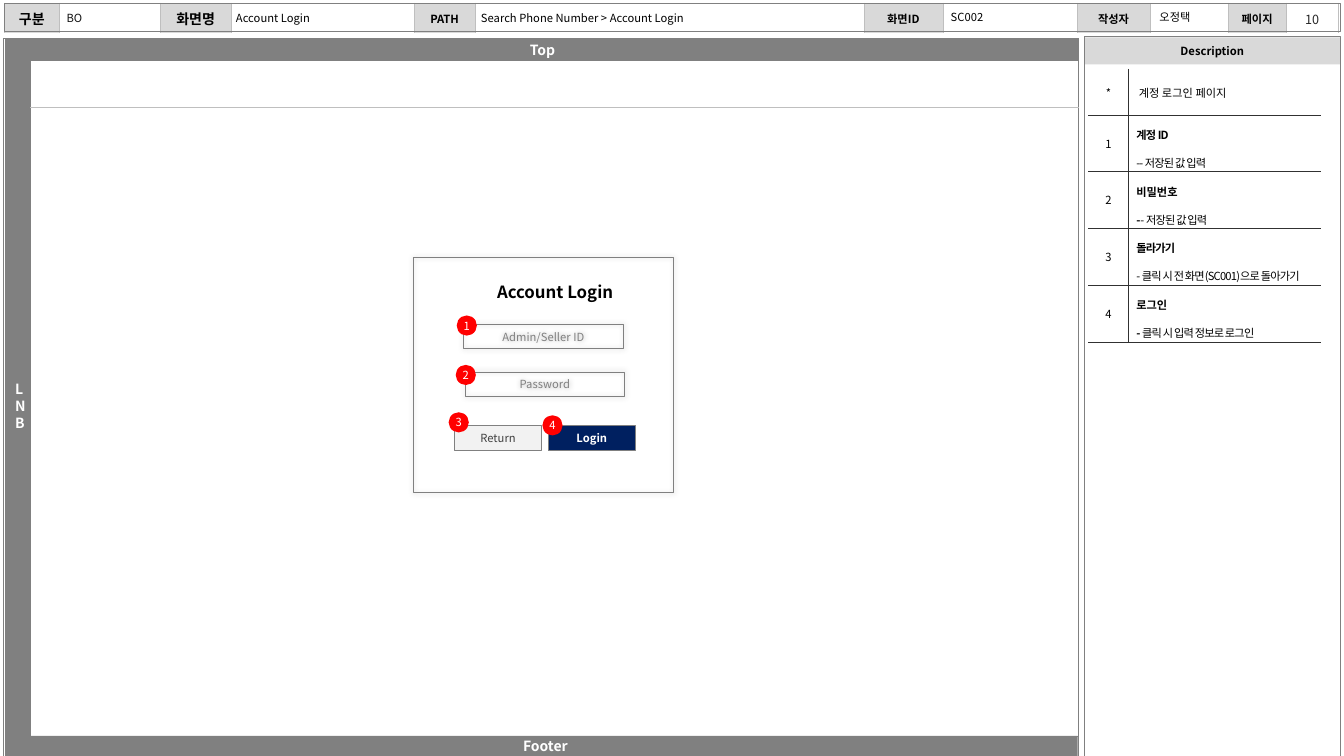
from dataclasses import dataclass
from lxml import etree
from pptx import Presentation
from pptx.dml.color import RGBColor
from pptx.enum.shapes import MSO_CONNECTOR, MSO_SHAPE
from pptx.enum.text import MSO_ANCHOR, PP_ALIGN
from pptx.oxml.ns import qn
from pptx.util import Inches, Pt

RECT, OVAL = MSO_SHAPE.RECTANGLE, MSO_SHAPE.OVAL
LEFT, CENTER = PP_ALIGN.LEFT, PP_ALIGN.CENTER
TOP, MIDDLE = MSO_ANCHOR.TOP, MSO_ANCHOR.MIDDLE
STRAIGHT = MSO_CONNECTOR.STRAIGHT


@dataclass(frozen=True)
class Theme:
    font: str = "Noto Sans CJK KR"
    black: str = "000000"
    ink: str = "111111"
    dark: str = "262626"
    rule: str = "313131"
    button_text: str = "404040"
    gray: str = "808080"
    border: str = "BFBFBF"
    label: str = "D9D9D9"
    pale: str = "F2F2F2"
    white: str = "FFFFFF"
    navy: str = "002060"
    red: str = "FF0000"
    small: int = 8
    page: int = 9
    bar: int = 10
    title: int = 12


T = Theme()

HEADER_LABELS = [("구분", T.bar), ("화면명", T.bar), ("PATH", T.small),
                 ("화면ID", T.small), ("작성자", T.small), ("페이지", T.small)]
HEADER_COLUMNS = [0.55, 1, 0.7, 1.82, 0.6, 3.86, 0.78, 1.33, 0.73, 0.77, 0.58, 0.51]
HEADER_VALUES = [
    ("Search Phone Number > Account Login", 4.72, 0.06, 3.85, T.black),
    ("Account Login", 2.29, 0.06, 1.81, T.black),
    ("BO", 0.61, 0.06, 0.95, T.ink),
    ("오정택", 11.45, 0.05, 0.73, T.black),
    ("SC002", 9.38, 0.05, 0.73, T.black),
]
BARS = [
    (" LNB", (0.05, 0.38, 0.25, 7.12), LEFT, 0.04),
    ("Footer", (0.13, 7.3, 10.56, 0.2), CENTER, 0.1),
    ("Top", (0.07, 0.38, 10.62, 0.22), CENTER, 0.1),
]
BUTTONS = [("Login", 5.44, T.navy, T.white, True),
           ("Return", 4.51, T.pale, T.button_text, False)]
FIELDS = [("Admin/Seller ID", (4.6, 3.22, 1.58, 0.24)),
          ("Password", (4.62, 3.69, 1.57, 0.24))]
LOGIN_PANEL = (4.1, 2.55, 2.58, 2.34)
MARKERS = [("1", 4.53, 3.13), ("2", 4.52, 3.62), ("3", 4.45, 4.09), ("4", 5.38, 4.12)]
TIGHT = -0.6
NOTES = [
    ("1", [("계정 ID", True, TIGHT)], [("-- 저장된 값 입력", False, TIGHT)]),
    ("2", [("비밀번호", True, 0)],
     [("-", True, TIGHT), ("- 저장된 값 입력", False, TIGHT)]),
    ("3", [("돌라가기", True, TIGHT)],
     [("- 클릭 시 전 화면(SC001)으로 돌아가기", False, TIGHT)]),
    ("4", [("로그인", True, 0)],
     [("- ", True, TIGHT), ("클릭 시 입력 정보로 로그인", False, TIGHT)]),
]

deck = Presentation()
deck.slide_width, deck.slide_height = Inches(13.33), Inches(7.5)
slide = deck.slides.add_slide(deck.slide_layouts[6])


def rgb(code):
    return RGBColor.from_string(code)


def style(run, size, color, bold=False, spacing=0):
    font = run.font
    font.name, font.size, font.bold = T.font, Pt(size), bold
    font.color.rgb = rgb(color)
    properties = run._r.get_or_add_rPr()
    etree.SubElement(properties, qn("a:ea")).set("typeface", T.font)
    if spacing:
        properties.set("spc", str(round(spacing * 100)))


def write(frame, text, size, color, bold=False, align=LEFT, anchor=MIDDLE,
          insets=(0.1, 0.05), wrap=True):
    frame.word_wrap, frame.vertical_anchor = wrap, anchor
    frame.margin_left = frame.margin_right = Inches(insets[0])
    frame.margin_top = frame.margin_bottom = Inches(insets[1])
    paragraph = frame.paragraphs[0]
    paragraph.text, paragraph.alignment = text, align
    style(paragraph.runs[0], size, color, bold)
    return paragraph


def draw(kind, box, fill=None, line=None, width=0.5, glow=False):
    shape = slide.shapes.add_shape(kind, *map(Inches, box))
    shape.shadow.inherit = False
    if fill:
        shape.fill.solid()
        shape.fill.fore_color.rgb = rgb(fill)
    else:
        shape.fill.background()
    if line:
        shape.line.color.rgb = rgb(line)
        shape.line.width = Pt(width)
    else:
        shape.line.fill.background()
    if glow:
        effects = shape._element.spPr.find(qn("a:effectLst"))
        shadow = etree.SubElement(effects, qn("a:outerShdw"), blurRad=str(Pt(4)),
                                  dist="0", algn="ctr", rotWithShape="0")
        tint = etree.SubElement(shadow, qn("a:srgbClr"), val=T.black)
        etree.SubElement(tint, qn("a:alpha"), val="30000")
    return shape


def label(text, box, size, color, **options):
    area = slide.shapes.add_textbox(*map(Inches, box))
    return write(area.text_frame, text, size, color, **options)


def grid(left, top, columns, rows):
    table = slide.shapes.add_table(len(rows), len(columns), Inches(left), Inches(top),
                                   Inches(sum(columns)), Inches(sum(rows))).table
    table.first_row = table.horz_banding = False
    for column, width in zip(table.columns, columns):
        column.width = Inches(width)
    for row, height in zip(table.rows, rows):
        row.height = Inches(height)
    return table


def dress(cell, fill, borders, insets):
    if fill:
        cell.fill.solid()
        cell.fill.fore_color.rgb = rgb(fill)
    else:
        cell.fill.background()
    cell.vertical_anchor = MIDDLE
    cell.margin_left = cell.margin_right = Inches(insets[0])
    cell.margin_top = cell.margin_bottom = Inches(insets[1])
    properties = cell._tc.get_or_add_tcPr()
    for index, (side, (color, width)) in enumerate(zip("LRTB", borders)):
        edge = etree.Element(qn("a:ln" + side), w=str(Pt(width)))
        paint = etree.SubElement(edge, qn("a:solidFill"))
        etree.SubElement(paint, qn("a:srgbClr"), val=color)
        properties.insert(index, edge)


def fill_paragraph(paragraph, runs, align=LEFT, after=None, spacing=None):
    paragraph.alignment = align
    if after:
        paragraph.space_after = Pt(after)
    if spacing:
        paragraph.line_spacing = spacing
    for text, bold, tracking in runs:
        run = paragraph.add_run()
        run.text = text
        style(run, T.small, T.black, bold, tracking)


draw(RECT, (0.03, 0.38, 10.67, 7.12), T.white, T.gray)
description = draw(RECT, (10.76, 0.37, 2.53, 0.27), T.label)
write(description.text_frame, "Description", T.small, T.black, True, CENTER, insets=(0, 0))

header = grid(0.04, 0.03, HEADER_COLUMNS, [0.28])
soft, blank = (T.border, 0.25), (T.white, 0.25)
for index, cell in enumerate(header.rows[0].cells):
    is_label = index % 2 == 0
    dress(cell, T.label if is_label else None, (soft, soft, blank, blank), (0.05, 0.05))
    paragraph = cell.text_frame.paragraphs[0]
    if is_label:
        text, size = HEADER_LABELS[index // 2]
        paragraph.text, paragraph.alignment = text, CENTER
        style(paragraph.runs[0], size, T.black, True)
    else:
        etree.SubElement(paragraph._p, qn("a:endParaRPr"), sz=str(T.small * 100))
draw(RECT, (0.04, 0.03, 13.25, 0.28), line=T.gray)
draw(RECT, (10.76, 0.36, 2.53, 7.14), line=T.gray)

for text, box, align, inset in BARS:
    bar = draw(RECT, box, T.gray, T.gray, 0.25)
    paragraph = write(bar.text_frame, text, T.bar, T.white, True, align, insets=(inset, 0.05))
    indent = paragraph._p.get_or_add_pPr()
    indent.set("marL", str(Inches(0.06)))
    indent.set("indent", str(-Inches(0.06)))

label("10", (12.78, 0.05, 0.47, 0.28), T.page, T.dark, align=CENTER)
for text, left, top, width, color in HEADER_VALUES:
    label(text, (left, top, width, 0.24), T.small, color, anchor=TOP, insets=(0.05, 0.05))
label("Account Login", (4.88, 2.75, 1.26, 0.3), T.title, T.black, bold=True,
      anchor=TOP, insets=(0.05, 0.05), wrap=False)

divider = slide.shapes.add_connector(STRAIGHT, *map(Inches, (0.3, 1.06, 10.7, 1.06)))
divider.line.color.rgb, divider.line.width = rgb(T.border), Pt(0.25)
etree.SubElement(divider._element.spPr, qn("a:effectLst"))

for text, left, fill, color, bold in BUTTONS:
    button = draw(RECT, (left, 4.22, 0.86, 0.25), fill, T.gray)
    write(button.text_frame, text, T.small, color, bold, CENTER, insets=(0, 0.04))
for text, box in FIELDS:
    field = draw(RECT, box, line=T.gray, glow=True)
    write(field.text_frame, text, T.small, T.gray, align=CENTER, wrap=False)
draw(RECT, LOGIN_PANEL, line=T.gray, glow=True)
for number, left, top in MARKERS:
    marker = draw(OVAL, (left, top, 0.2, 0.2), T.red)
    write(marker.text_frame, number, T.small, T.white, align=CENTER, insets=(0, 0.05))

notes = grid(10.8, 0.69, [0.39, 1.91], [0.45] + [0.56] * len(NOTES))
ruled, hidden = (T.rule, 0.25), (T.white, 1)
page_note = ("*", [(" 계정 로그인 페이지", False, 0)])
for index, (number, *lines) in enumerate([page_note] + NOTES):
    number_cell, note_cell = notes.rows[index].cells
    above = ruled if index else hidden
    dress(number_cell, T.white, (hidden, ruled, above, ruled), (0.08, 0.08))
    dress(note_cell, T.white, (ruled, hidden, above, ruled), (0.08, 0.08))
    fill_paragraph(number_cell.text_frame.paragraphs[0], [(number, False, 0)], CENTER, 6)
    for position, runs in enumerate(lines):
        frame = note_cell.text_frame
        paragraph = frame.add_paragraph() if position else frame.paragraphs[0]
        fill_paragraph(paragraph, runs, after=6 if index else None,
                       spacing=1.2 if index else None)

deck.save("out.pptx")
